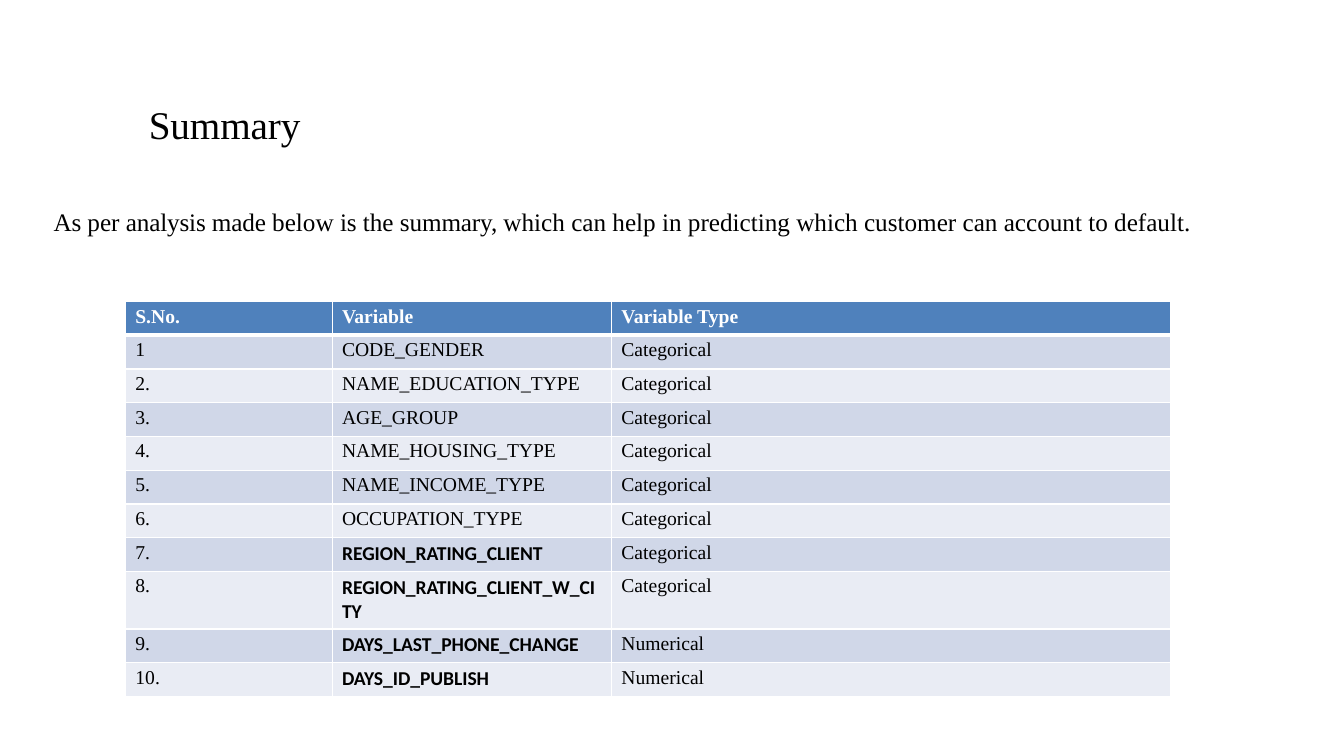
from dataclasses import dataclass

from lxml.etree import SubElement
from pptx import Presentation
from pptx.dml.color import RGBColor
from pptx.enum.text import MSO_ANCHOR, MSO_AUTO_SIZE, PP_ALIGN
from pptx.oxml.ns import qn
from pptx.util import Cm, Pt

HUES = {"ink": "000000", "white": "FFFFFF", "head": "4F81BC",
        "odd": "D0D7E8", "even": "E9ECF4"}
SERIF = "Times New Roman"
SANS = "Calibri"
WIDTHS = (5.21, 7.04, 14.1)
HIGH = 0.85
TALL = 1.45


@dataclass
class Style:
    size: float = 14
    font: str = SERIF
    hue: str = "ink"
    bold: bool = False
    track: int = 0


@dataclass
class Entry:
    num: str
    name: str
    kind: str = "Categorical"
    bold: bool = False


ROWS = [
    Entry("1", "CODE_GENDER"),
    Entry("2.", "NAME_EDUCATION_TYPE"),
    Entry("3.", "AGE_GROUP"),
    Entry("4.", "NAME_HOUSING_TYPE"),
    Entry("5.", "NAME_INCOME_TYPE"),
    Entry("6.", "OCCUPATION_TYPE"),
    Entry("7.", "REGION_RATING_CLIENT", bold=True),
    Entry("8.", "REGION_RATING_CLIENT_W_CI\nTY", bold=True),
    Entry("9.", "DAYS_LAST_PHONE_CHANGE", "Numerical", True),
    Entry("10.", "DAYS_ID_PUBLISH", "Numerical", True),
]
INTRO = [
    ("As ", -10), ("per", 0), (" analysis made", -10), (" below ", 0),
    ("is ", -10), ("the ", 0), ("summary, ", -10),
    ("which can help in predicting which customer can account to default.", 0),
]


def color(hue: str) -> RGBColor:
    return RGBColor.from_string(HUES[hue])


def write(para, text: str, style: Style) -> None:
    run = para.add_run()
    run.text = text
    run.font.size = Pt(style.size)
    run.font.name = style.font
    run.font.bold = style.bold
    run.font.color.rgb = color(style.hue)
    if style.track:
        run.font._element.set("spc", str(style.track))


def layout(para, left: float, before: float) -> None:
    para.alignment = PP_ALIGN.LEFT
    para.space_before = Pt(before)
    props = para._p.get_or_add_pPr()
    props.set("marL", str(Cm(left)))
    props.set("indent", "0")


def frame(shape, box: tuple, before: float):
    shape.left, shape.top, shape.width, shape.height = map(Cm, box)
    body = shape.text_frame
    body.word_wrap = True
    body.auto_size = MSO_AUTO_SIZE.SHAPE_TO_FIT_TEXT
    body.vertical_anchor = MSO_ANCHOR.TOP
    body.margin_left = body.margin_right = body.margin_bottom = 0
    body.margin_top = Cm(0.03)
    layout(body.paragraphs[0], 0.03, before)
    return body.paragraphs[0]


def border(cell, row: int) -> None:
    props = cell._tc.get_or_add_tcPr()
    wide = {"lnT": 3 if row == 1 else 1, "lnB": 3 if row == 0 else 1}
    for side in ("lnL", "lnR", "lnT", "lnB"):
        line = SubElement(props, qn(f"a:{side}"), w=str(Pt(wide.get(side, 1))))
        fill = SubElement(line, qn("a:solidFill"))
        SubElement(fill, qn("a:srgbClr"), val=HUES["white"])


def paint(cell, row: int, text: str, style: Style, fill: str) -> None:
    border(cell, row)
    cell.fill.solid()
    cell.fill.fore_color.rgb = color(fill)
    cell.vertical_anchor = MSO_ANCHOR.TOP
    cell.margin_left = cell.margin_right = cell.margin_bottom = 0
    cell.margin_top = Cm(0.1)
    body = cell.text_frame
    for pos, part in enumerate(text.split("\n")):
        para = body.add_paragraph() if pos else body.paragraphs[0]
        layout(para, 0.25, 0.1 if pos else 3.2)
        write(para, part, style)


def grid(slide) -> None:
    count = len(ROWS) + 1
    table = slide.shapes.add_table(
        count, len(WIDTHS), Cm(3.16), Cm(7.6),
        Cm(sum(WIDTHS)), Cm(HIGH * count)).table
    table.horz_banding = False
    for col, width in zip(table.columns, WIDTHS):
        col.width = Cm(width)
    for col, text in enumerate(("S.No.", "Variable", "Variable Type")):
        paint(table.cell(0, col), 0, text, Style(hue="white", bold=True), "head")
    for row, entry in enumerate(ROWS, 1):
        fill = "odd" if row % 2 else "even"
        name = Style(font=SANS if entry.bold else SERIF,
                     bold=entry.bold, track=-5)
        cells = ((entry.num, Style(track=5)), (entry.name, name),
                 (entry.kind, Style()))
        for col, (text, style) in enumerate(cells):
            paint(table.cell(row, col), row, text, style, fill)
    for row, line in enumerate(table.rows):
        split = row > 0 and "\n" in ROWS[row - 1].name
        line.height = Cm(TALL if split else HIGH)


def main() -> None:
    deck = Presentation()
    deck.slide_width, deck.slide_height = Cm(33.87), Cm(19.05)
    slide = deck.slides.add_slide(deck.slide_layouts[5])
    title = frame(slide.shapes.title, (3.72, 2.49, 3.91, 1.24), 0.9)
    write(title, "Summary", Style(28, track=-5))
    box = slide.shapes.add_textbox(0, 0, 0, 0)
    intro = frame(box, (1.32, 5.18, 28.75, 0.84), 1)
    for text, track in INTRO:
        write(intro, text, Style(18, track=track))
    grid(slide)
    deck.save("out.pptx")


if __name__ == "__main__":
    main()
